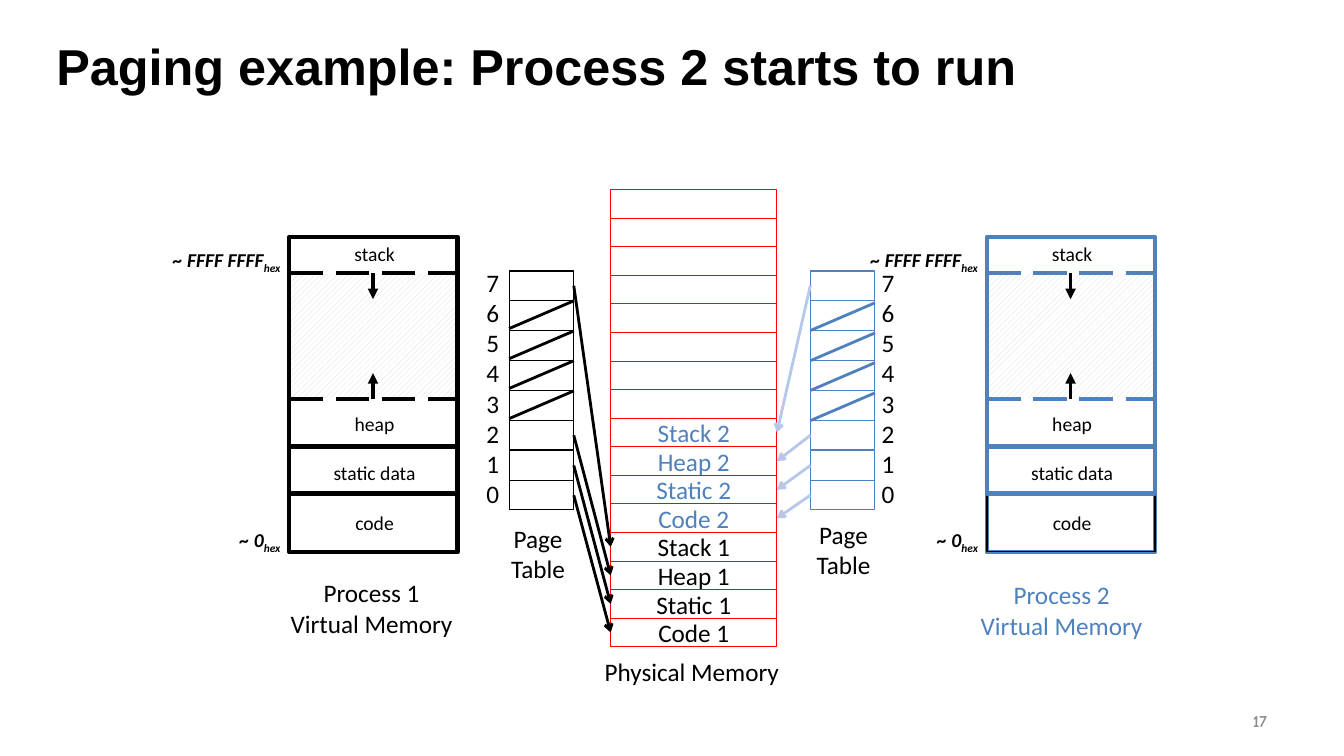
"""Build a slide showing how two processes page into physical memory."""
import pptx
import pptx.util
import pptx.dml.color
import pptx.enum.dml
import pptx.enum.shapes
import pptx.enum.text
import pptx.oxml.ns
import lxml.etree

Cm, Pt = pptx.util.Cm, pptx.util.Pt
RGB = pptx.dml.color.RGBColor.from_string
ALIGN = pptx.enum.text.PP_ALIGN
ANCHOR = pptx.enum.text.MSO_ANCHOR
SHAPE = pptx.enum.shapes.MSO_SHAPE
DASH = pptx.enum.dml.MSO_LINE
qn = pptx.oxml.ns.qn
COLORS = {
    "black": "000000", "white": "FFFFFF", "blue": "4F81BD", "pale": "B6C8E9",
    "red": "FF0000", "grey": "8C8C8C", "hatch": "D6D7D6",
}

prs = pptx.Presentation()
prs.slide_width, prs.slide_height = Cm(33.87), Cm(19.05)
s = prs.slides.add_slide(prs.slide_layouts[6])


def box(x, y, w, h, text="", size=18, color="black", line=None, weight=0.75,
        align=ALIGN.CENTER, bold=False, italic=False, font="Calibri"):
    """Add an outlined rectangle, or a text box when no line colour is given."""
    place = Cm(x), Cm(y), Cm(w), Cm(h)
    if line:
        sp = s.shapes.add_shape(SHAPE.RECTANGLE, *place)
        sp.shadow.inherit = False
        sp.fill.background()
        sp.line.color.rgb = RGB(COLORS[line])
        sp.line.width = Pt(weight)
    else:
        sp = s.shapes.add_textbox(*place)
    if text:
        tf = sp.text_frame
        tf.text = text
        tf.word_wrap = align != ALIGN.CENTER
        tf.vertical_anchor = ANCHOR.MIDDLE if line else ANCHOR.TOP
        for p in tf.paragraphs:
            p.alignment = align
            p.font.name, p.font.size = font, Pt(size)
            p.font.bold, p.font.italic = bold, italic
            p.font.color.rgb = RGB(COLORS[color])
    return sp


def connect(x1, y1, x2, y2, color, weight, head=None, dash=None):
    """Add a straight line with an optional arrowhead and dash."""
    cx = s.shapes.add_connector(pptx.enum.shapes.MSO_CONNECTOR.STRAIGHT,
                                Cm(x1), Cm(y1), Cm(x2), Cm(y2))
    cx.line.color.rgb = RGB(COLORS[color])
    cx.line.width = Pt(weight)
    if dash:
        cx.line.dash_style = dash
    if head:
        lxml.etree.SubElement(cx.line._get_or_add_ln(), qn("a:tailEnd"), type=head)
    lxml.etree.SubElement(cx._element.spPr, qn("a:effectLst"))
    return cx


box(1.17, 0.76, 31.5, 1.8, "Paging example: Process 2 starts to run", 36,
    align=ALIGN.LEFT, bold=True, font="Arial")
number = box(24.28, 17.65, 7.9, 1.02, "17", 12, "grey", align=ALIGN.RIGHT,
             bold=True, font="Comic Neue")
number.text_frame.vertical_anchor = ANCHOR.MIDDLE

MEMORY_W = 4.24
for name, x, color, caption_x, caption_y in [
        ("Process 1", 7.29, "black", 7.04, 14.43),
        ("Process 2", 24.87, "blue", 24.43, 14.48)]:
    gap = box(x, 6.88, MEMORY_W, 3.18, line="white", weight=1)
    gap.fill.patterned()
    gap.fill.pattern = pptx.enum.dml.MSO_PATTERN.WIDE_UPWARD_DIAGONAL
    gap.fill.fore_color.rgb = RGB(COLORS["hatch"])
    gap.fill.back_color.rgb = RGB(COLORS["white"])
    box(x, 5.97, MEMORY_W, 7.95, line=color, weight=3)
    box(x, 12.45, MEMORY_W, 1.45, line="black", weight=1)
    box(x, 11.25, MEMORY_W, 1.19, line=color, weight=3)
    for y, reach in [(10.06, -0.66), (6.88, 0.66)]:
        connect(x, y, x + MEMORY_W, y, color, 3, dash=DASH.LONG_DASH)
        connect(x + 2.11, y, x + 2.11, y + reach, "black", 2.5, "triangle")
    for text, y in [("stack", 5.97), ("heap", 10.26), ("static data", 11.48), ("code", 12.75)]:
        box(x + 0.5, y, 3.3, 0.86, text, 14)
    for text, dx, y, w in [("~ FFFF FFFF", -3.18, 6.12, 3.28), ("~ 0", -1.5, 13.18, 2.49)]:
        sp = box(x + dx, y, w, 0.86, text, 14, align=ALIGN.LEFT, bold=True, italic=True)
        r = sp.text_frame.paragraphs[0].add_run()
        r.text = "hex"
        r._r.get_or_add_rPr().set("baseline", "-25000")
    box(caption_x, caption_y, 4.65, 1.8, name + "\nVirtual Memory", color=color)

FRAME_X, FRAME_Y, FRAME_W, FRAME_H = 15.39, 4.78, 4.19, 0.72
FREE_FRAMES = 8
frames = {}
for i in range(FREE_FRAMES):
    box(FRAME_X, FRAME_Y + i * FRAME_H, FRAME_W, FRAME_H, line="red")
used = [(part, process) for process in (2, 1) for part in ("Stack", "Heap", "Static", "Code")]
for i, (part, process) in enumerate(used, FREE_FRAMES):
    frames[part, process] = box(FRAME_X, FRAME_Y + i * FRAME_H, FRAME_W, FRAME_H,
                                f"{part} {process}", line="red",
                                color="black" if process == 1 else "blue")
box(14.96, 16.41, 4.95, 1.02, "Physical Memory")

ENTRY_W, ENTRY_H = 1.63, 0.74
PAGES = {7: "Stack", 2: "Heap", 1: "Static", 0: "Code"}
for process, x, color, arrow, digits_x, caption_x, caption_y, shift, sides in [
        (1, 12.83, "black", "black", 12.01, 12.62, 13.06, 0, (3, 1)),
        (2, 20.42, "blue", "pale", 21.97, 20.32, 12.95, 0.05, (1, 3))]:
    for page in range(7, -1, -1):
        pair, half = divmod(7 - page, 2)
        y = 6.83 + pair * 1.51 + half * 0.75
        entry = box(x, y, ENTRY_W, ENTRY_H, line=color)
        if page in PAGES:
            cx = connect(x, y, FRAME_X, y, arrow, 2, "arrow")
            cx.begin_connect(entry, sides[0])
            cx.end_connect(frames[PAGES[page], process], sides[1])
        else:
            connect(x, y + 0.7 + shift, x + ENTRY_W, y + shift, color, 2)
    box(digits_x, 6.6, 0.84, 6.4, "\n".join("76543210"), align=ALIGN.LEFT)
    box(caption_x, caption_y, 1.88, 1.8, "Page\vTable")

prs.save("out.pptx")
